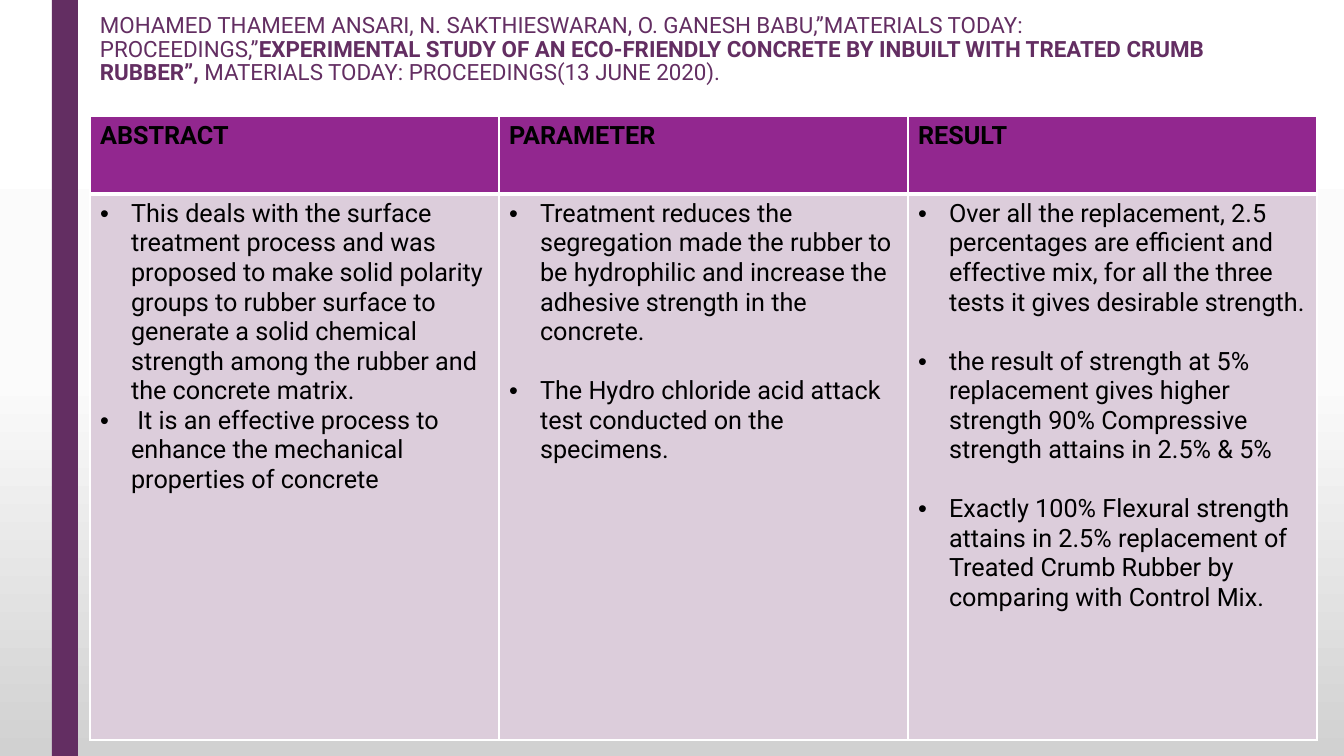
from copy import deepcopy

from lxml import etree
from pptx import Presentation
from pptx.dml.color import RGBColor
from pptx.enum.shapes import MSO_SHAPE
from pptx.enum.text import MSO_ANCHOR
from pptx.oxml.ns import qn
from pptx.util import Pt

RECTANGLE = MSO_SHAPE.RECTANGLE
TOP = MSO_ANCHOR.TOP

PX = 914400 / 100.8
FONT = "Roboto"
COLORS = {
    "plum": "632E62",
    "header": "92278F",
    "body": "DCCDDB",
    "text": "000000",
    "border": "FFFFFF",
}
BACKDROP = [(0, "FFFFFF"), (0.5, "FBFBFB"), (1, "D1D1D1")]

CITATION = [
    ("MOHAMED THAMEEM ANSARI, N. SAKTHIESWARAN, O. GANESH BABU,”MATERIALS TODAY: PROCEEDINGS,”", False),
    ("EXPERIMENTAL STUDY OF AN ECO-FRIENDLY CONCRETE BY INBUILT WITH TREATED CRUMB RUBBER”,", True),
    (" MATERIALS TODAY: PROCEEDINGS(13 JUNE 2020).", False),
]
# Heading, gap in points between findings, findings
COLUMNS = [
    ("ABSTRACT", 0, [
        "This deals with the surface treatment process and was proposed to make solid polarity groups "
        "to rubber surface to generate a solid chemical strength among the rubber and the concrete matrix.",
        " It is an effective process to enhance the mechanical properties of concrete",
    ]),
    ("PARAMETER", 21, [
        "Treatment reduces the segregation made the rubber to be hydrophilic and increase the adhesive "
        "strength in the concrete.",
        "The Hydro chloride acid attack test conducted on the specimens.",
    ]),
    ("RESULT", 21, [
        "Over all the replacement, 2.5 percentages are efficient and effective mix, for all the three "
        "tests it gives desirable strength.",
        "the result of strength at 5% replacement gives higher strength 90% Compressive strength attains "
        "in 2.5% & 5%",
        "Exactly 100% Flexural strength attains in 2.5% replacement of Treated Crumb Rubber by comparing "
        "with Control Mix.",
    ]),
]


def px(length):
    return round(length * PX)


def rgb(name):
    return RGBColor.from_string(COLORS[name])


def style(font, size, color, bold=None):
    font.name = FONT
    font.size = Pt(size)
    font.color.rgb = rgb(color)
    font.bold = bold


def paint_background(slide):
    fill = slide.background.fill
    fill.gradient()
    fill.gradient_angle = 270
    stop_list = slide.element.find(".//" + qn("a:gsLst"))
    stop_list.insert(1, deepcopy(stop_list[0]))
    for stop, (position, color) in zip(fill.gradient_stops, BACKDROP):
        stop.position = position
        stop.color.rgb = RGBColor.from_string(color)


def add_side_bar(slide, left, top, width, height):
    bar = slide.shapes.add_shape(RECTANGLE, px(left), px(top), px(width), px(height))
    bar.shadow.inherit = False
    bar.fill.solid()
    bar.fill.fore_color.rgb = rgb("plum")
    bar.line.fill.background()


def add_citation(slide, left, top, width, height):
    frame = slide.shapes.add_textbox(px(left), px(top), px(width), px(height)).text_frame
    frame.word_wrap = True
    frame.vertical_anchor = TOP
    paragraph = frame.paragraphs[0]
    paragraph.line_spacing = 0.89
    style(paragraph.font, 16, "plum")
    for wording, bold in CITATION:
        run = paragraph.add_run()
        run.text = wording
        style(run.font, 16, "plum", bold)


def finish_cell(cell, fill, borders):
    properties = cell._tc.get_or_add_tcPr()
    for side, points in borders.items():
        line = etree.SubElement(properties, qn("a:ln" + side), w=str(Pt(points)))
        solid = etree.SubElement(line, qn("a:solidFill"))
        etree.SubElement(solid, qn("a:srgbClr"), val=COLORS["border"])
    cell.fill.solid()
    cell.fill.fore_color.rgb = rgb(fill)


def add_bullet(paragraph, indent):
    properties = paragraph._p.get_or_add_pPr()
    properties.set("marL", str(px(indent)))
    properties.set("indent", str(-px(indent)))
    etree.SubElement(properties, qn("a:buFont"), typeface="Arial")
    etree.SubElement(properties, qn("a:buChar"), char="•")


def add_findings_table(slide, left, top, width, height, header_height):
    table = slide.shapes.add_table(
        2, len(COLUMNS), px(left), px(top), px(width), px(height)
    ).table
    table.horz_banding = False
    table.rows[0].height = px(header_height)
    table.rows[1].height = px(height - header_height)

    for index, (heading, gap, findings) in enumerate(COLUMNS):
        table.columns[index].width = px(width / len(COLUMNS))

        # Heading cell
        header = table.cell(0, index)
        finish_cell(header, "header", {"L": 1, "R": 1, "T": 1, "B": 3})
        header.text = heading
        style(header.text_frame.paragraphs[0].font, 18, "text", True)

        # Bulleted findings
        body = table.cell(1, index)
        finish_cell(body, "body", {"L": 1, "R": 1, "T": 3, "B": 1})
        body.text = "\n".join(findings)
        for order, paragraph in enumerate(body.text_frame.paragraphs):
            if order and gap:
                paragraph.space_before = Pt(gap)
            add_bullet(paragraph, 31)
            style(paragraph.font, 18, "text", False)


def main():
    presentation = Presentation()
    presentation.slide_width = px(1344)
    presentation.slide_height = px(756)
    slide = presentation.slides.add_slide(presentation.slide_layouts[6])
    paint_background(slide)
    add_side_bar(slide, 52, 0, 26, 756)
    add_citation(slide, 90, 9, 1149, 89)
    add_findings_table(slide, 90, 116, 1227, 624, header_height=78)
    presentation.save("out.pptx")


if __name__ == "__main__":
    main()
